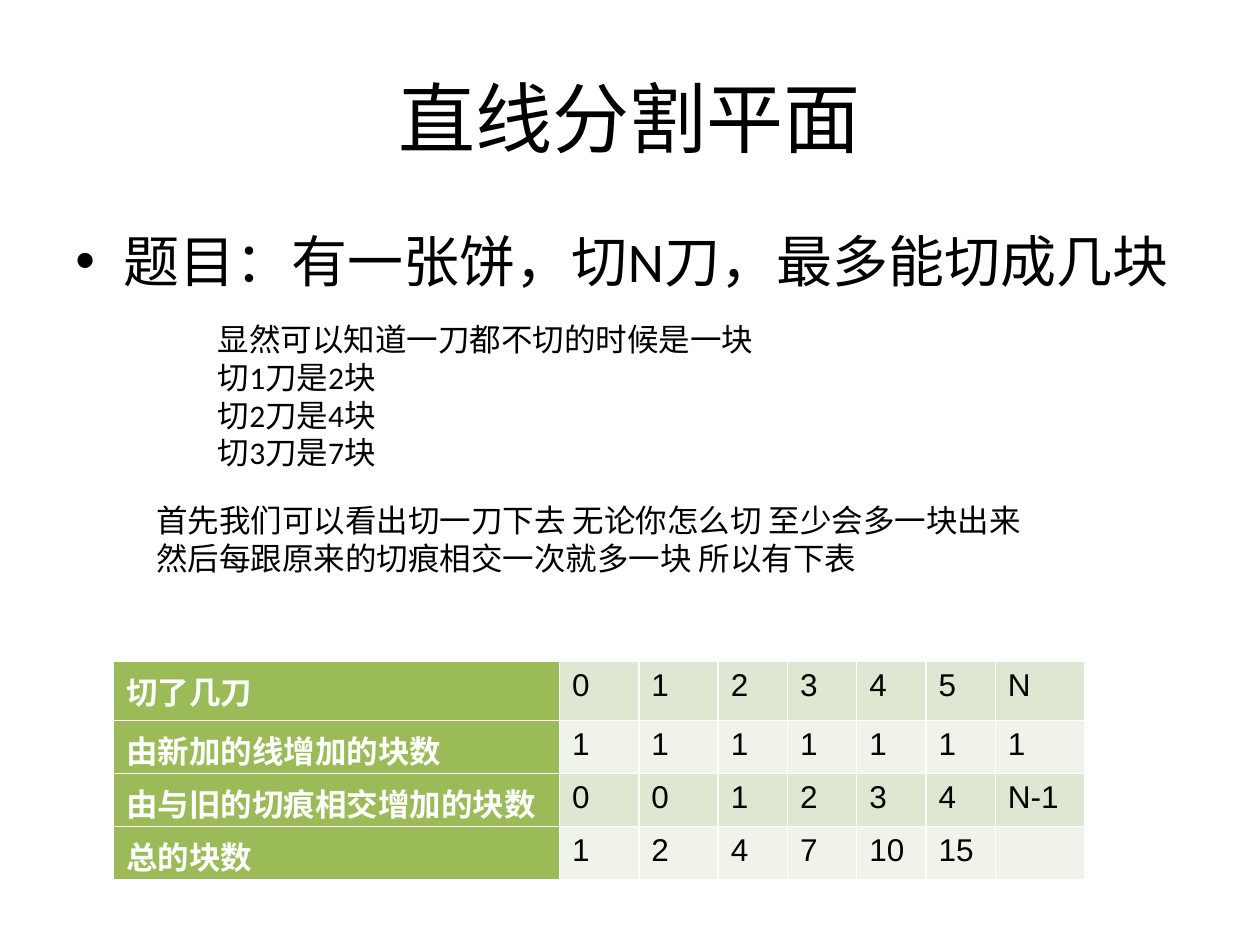
from dataclasses import dataclass

from lxml import etree
from pptx import Presentation
from pptx.dml.color import RGBColor
from pptx.enum.text import MSO_ANCHOR, PP_ALIGN
from pptx.oxml.ns import qn
from pptx.util import Inches, Pt

LEFT, CENTER = PP_ALIGN.LEFT, PP_ALIGN.CENTER
TOP, MIDDLE = MSO_ANCHOR.TOP, MSO_ANCHOR.MIDDLE


@dataclass(frozen=True)
class Theme:
    ink: str = "000000"
    paper: str = "FFFFFF"
    head: str = "9BBB59"
    bands: tuple = ("DEE7D1", "EFF3EA")
    font: str = "Calibri"
    grid_font: str = "Arial"
    title: int = 44
    body: int = 32
    note: int = 18


THEME = Theme()


def write(frame, text, size=THEME.note, font=THEME.font, color=THEME.ink,
          bold=False, align=LEFT, anchor=TOP):
    """Fill a text frame, one paragraph for each line of text."""
    frame.word_wrap = True
    frame.vertical_anchor = anchor
    for i, line in enumerate(text.split("\n")):
        para = frame.paragraphs[0] if i == 0 else frame.add_paragraph()
        para.alignment = align
        run = para.add_run()
        run.text = line
        run.font.size = Pt(size)
        run.font.name = font
        run.font.bold = bold
        run.font.color.rgb = RGBColor.from_string(color)


def add_text(slide, box, text, **style):
    frame = slide.shapes.add_textbox(*map(Inches, box)).text_frame
    write(frame, text, **style)
    return frame


def add_bullet(slide, box, text):
    para = add_text(slide, box, text, size=THEME.body).paragraphs[0]
    para.space_before = Pt(6.4)
    props = para._p.get_or_add_pPr()
    props.set("marL", str(Inches(0.38)))
    props.set("indent", str(Inches(-0.38)))
    etree.SubElement(props, qn("a:buFont")).set("typeface", "Arial")
    etree.SubElement(props, qn("a:buChar")).set("char", "•")


def add_edges(cell):
    """Draw a thin line on all four sides of a cell."""
    props = cell._tc.get_or_add_tcPr()
    for i, side in enumerate(("lnL", "lnR", "lnT", "lnB")):
        line = etree.Element(qn(f"a:{side}"), w=str(Pt(1)))
        fill = etree.SubElement(line, qn("a:solidFill"))
        etree.SubElement(fill, qn("a:srgbClr")).set("val", THEME.paper)
        props.insert(i, line)


def add_grid(slide, box, rows, widths, heights):
    shape = slide.shapes.add_table(len(rows), len(widths), *map(Inches, box))
    table = shape.table
    for col, width in zip(table.columns, widths):
        col.width = Inches(width)
    for row, height in zip(table.rows, heights):
        row.height = Inches(height)
    for r, row in enumerate(rows):
        for c, text in enumerate(row):
            cell = table.cell(r, c)
            head = c == 0
            fill = THEME.head if head else THEME.bands[r % 2]
            cell.fill.solid()
            cell.fill.fore_color.rgb = RGBColor.from_string(fill)
            add_edges(cell)
            write(cell.text_frame, text, font=THEME.grid_font, bold=head,
                  color=THEME.paper if head else THEME.ink)


def add_page(deck):
    slide = deck.slides.add_slide(deck.slide_layouts[6])

    # Title and question
    add_text(slide, (0.5, 0.3, 9, 1.25), "直线分割平面", size=THEME.title,
             align=CENTER, anchor=MIDDLE)
    add_bullet(slide, (0.5, 1.75, 9, 4.95),
               "题目：有一张饼，切N刀，最多能切成几块")

    # First cases and reasoning
    cases = [f"切{cuts}刀是{parts}块" for cuts, parts in ((1, 2), (2, 4), (3, 7))]
    add_text(slide, (1.63, 2.49, 7.32, 1.31),
             "\n".join(["显然可以知道一刀都不切的时候是一块", *cases]))
    add_text(slide, (1.14, 3.93, 8.59, 0.71),
             "首先我们可以看出切一刀下去 无论你怎么切 至少会多一块出来\n"
             "然后每跟原来的切痕相交一次就多一块 所以有下表")

    # Table of counts
    rows = (
        ("切了几刀", "0", "1", "2", "3", "4", "5", "N"),
        ("由新加的线增加的块数", *["1"] * 7),
        ("由与旧的切痕相交增加的块数", "0", "0", "1", "2", "3", "4", "N-1"),
        ("总的块数", "1", "2", "4", "7", "10", "15", ""),
    )
    add_grid(slide, (0.9, 5.25, 7.72, 1.74), rows,
             widths=(3.54, *[0.63] * 2, *[0.55] * 4, 0.71),
             heights=(0.47, *[0.42] * 3))


def main():
    deck = Presentation()
    deck.slide_width, deck.slide_height = Inches(10), Inches(7.5)
    add_page(deck)
    deck.save("out.pptx")


if __name__ == "__main__":
    main()
